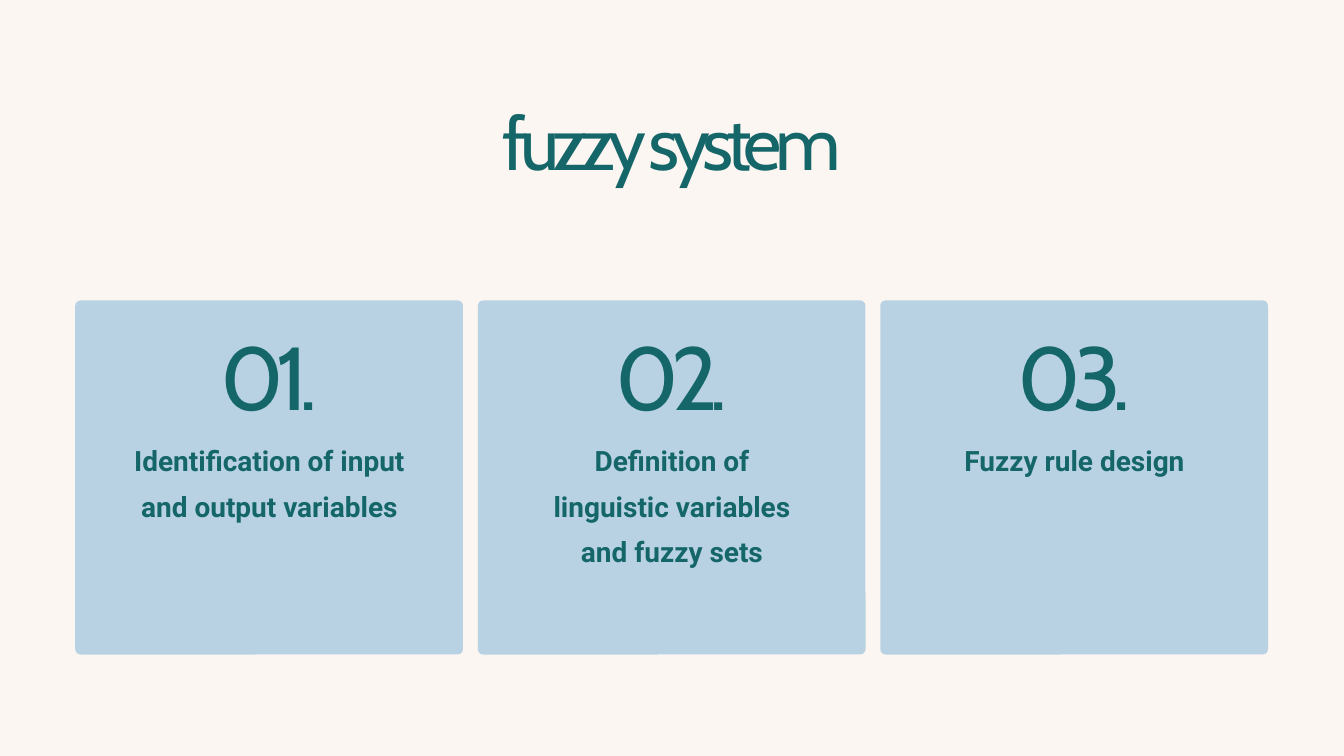
"""Build the fuzzy system slide with its three numbered step cards."""
from dataclasses import dataclass

from pptx import Presentation
from pptx.dml.color import RGBColor
from pptx.enum import shapes, text
from pptx.slide import Slide
from pptx.util import Inches, Pt


@dataclass(frozen=True)
class TextStyle:
    font: str
    size: float
    leading: float
    spacing: float = 0
    bold: bool = False


@dataclass(frozen=True)
class Theme:
    background: RGBColor = RGBColor.from_string("FBF6F1")
    card: RGBColor = RGBColor.from_string("B8D2E4")
    ink: RGBColor = RGBColor.from_string("156669")
    title: TextStyle = TextStyle("Cabin", 80, 76.8, -7.7)
    number: TextStyle = TextStyle("Cabin", 95.6, 91.7, -9.2)
    label: TextStyle = TextStyle("Roboto", 30, 48.9, bold=True)


@dataclass(frozen=True)
class Box:
    left: float
    top: float
    width: float
    height: float

    def lengths(self) -> list[Inches]:
        return [Inches(v) for v in (self.left, self.top, self.width, self.height)]


@dataclass(frozen=True)
class Step:
    number: str
    label: str
    label_height: float


THEME = Theme()
STEPS = (
    Step("01.", "Identification of input and output variables", 2.07),
    Step("02.", "Definition of linguistic variables and fuzzy sets", 2.07),
    Step("03.", "Fuzzy rule design", 0.72),
)
CARD = Box(1.12, 4.47, 5.77, 5.27)
CARD_PITCH = 5.99
CORNER_RADIUS = 0.08


def set_all(target: object, values: dict[str, object]) -> None:
    for name, value in values.items():
        setattr(target, name, value)


def add_text(slide: Slide, box: Box, wording: str, style: TextStyle) -> None:
    frame = slide.shapes.add_textbox(*box.lengths()).text_frame
    set_all(frame, {
        "margin_left": 0, "margin_right": 0, "margin_top": 0, "margin_bottom": 0,
        "word_wrap": True, "auto_size": text.MSO_AUTO_SIZE.SHAPE_TO_FIT_TEXT,
    })
    paragraph = frame.paragraphs[0]
    set_all(paragraph, {"alignment": text.PP_ALIGN.CENTER, "line_spacing": Pt(style.leading)})
    run = paragraph.add_run()
    run.text = wording
    set_all(run.font, {"name": style.font, "size": Pt(style.size), "bold": style.bold})
    run.font.color.rgb = THEME.ink
    if style.spacing:
        run._r.get_or_add_rPr().set("spc", str(round(style.spacing * 100)))


def add_step(slide: Slide, left: float, step: Step) -> None:
    box = Box(left, CARD.top, CARD.width, CARD.height)
    card = slide.shapes.add_shape(shapes.MSO_SHAPE.ROUNDED_RECTANGLE, *box.lengths())
    card.adjustments[0] = CORNER_RADIUS / min(box.width, box.height)
    card.shadow.inherit = False
    card.fill.solid()
    card.fill.fore_color.rgb = THEME.card
    card.line.fill.background()
    add_text(slide, Box(left + 1.93, 5.1, 1.91, 1.35), step.number, THEME.number)
    add_text(slide, Box(left + 0.83, 6.42, 4.12, step.label_height), step.label, THEME.label)


def main() -> None:
    deck = Presentation()
    set_all(deck, {"slide_width": Inches(20), "slide_height": Inches(11.25)})
    slide = deck.slides.add_slide(deck.slide_layouts[6])
    slide.background.fill.solid()
    slide.background.fill.fore_color.rgb = THEME.background
    add_text(slide, Box(4.18, 1.69, 11.63, 1.14), "fuzzy system", THEME.title)
    for column, step in enumerate(STEPS):
        add_step(slide, CARD.left + column * CARD_PITCH, step)
    deck.save("out.pptx")


if __name__ == "__main__":
    main()
